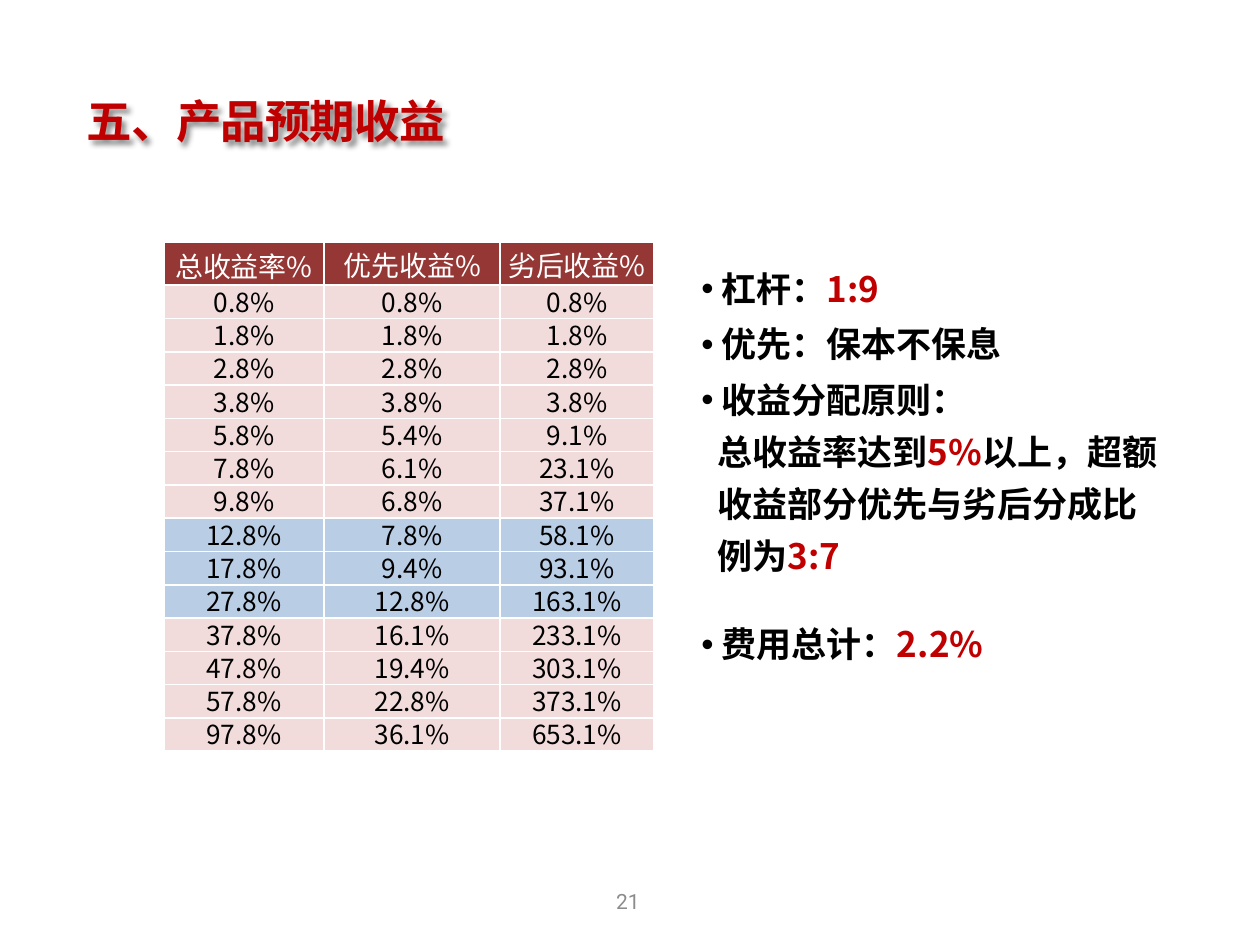
from lxml.etree import SubElement
from pptx import Presentation
from pptx.dml.color import RGBColor
from pptx.enum.text import MSO_ANCHOR, PP_ALIGN
from pptx.oxml import parse_xml
from pptx.oxml.ns import nsdecls, qn
from pptx.util import Pt

COLORS = {
    "black": "000000", "white": "FFFFFF", "red": "C00000", "gray": "8C8C8C",
    "head": "953735", "pink": "F2DCDB", "blue": "B9CDE5",
}
SANS = "Noto Sans CJK SC"

HEADS = ["总收益率%", "优先收益%", "劣后收益%"]
YIELDS = [
    (0.8, 0.8, 0.8), (1.8, 1.8, 1.8), (2.8, 2.8, 2.8), (3.8, 3.8, 3.8),
    (5.8, 5.4, 9.1), (7.8, 6.1, 23.1), (9.8, 6.8, 37.1),
    (12.8, 7.8, 58.1), (17.8, 9.4, 93.1), (27.8, 12.8, 163.1),
    (37.8, 16.1, 233.1), (47.8, 19.4, 303.1), (57.8, 22.8, 373.1),
    (97.8, 36.1, 653.1),
]
MARKED = range(7, 10)

# Each box: top, height, paragraphs; a paragraph is (bullet, runs).
NOTES = [
    (152, 31.7, [(True, [("杠杆：", "black"), ("1:9", "red")])]),
    (183.6, 31.7, [(True, [("优先：保本不保息", "black")])]),
    (215.2, 140.4, [
        (True, [("收益分配原则：", "black")]),
        (False, [("总收益率达到", "black"), ("5%", "red"), ("以上，超额", "black")]),
        (False, [("收益部分优先与劣后分成比", "black")]),
        (False, [("例为", "black"), ("3:7", "red")]),
    ]),
    (355, 31.7, [(True, [("费用总计：", "black"), ("2.2%", "red")])]),
]


def rgb(name):
    return RGBColor.from_string(COLORS[name])


def put(item, **values):
    for key, value in values.items():
        setattr(item, key, value)


class Deck:
    def __init__(self):
        self.show = Presentation()
        put(self.show, slide_width=Pt(720), slide_height=Pt(540))
        self.slide = self.show.slides.add_slide(self.show.slide_layouts[6])

    def run(self, para, text, color, size, bold=False, face=SANS):
        run = para.add_run()
        run.text = text
        put(run.font, name=face, size=Pt(size), bold=bold)
        run.font.color.rgb = rgb(color)
        props = run.font._element
        SubElement(props, qn("a:ea")).set("typeface", face)
        return props

    def box(self, left, top, width, height, **values):
        box = self.slide.shapes.add_textbox(*map(Pt, (left, top, width, height)))
        put(box.text_frame, word_wrap=True, **values)
        return box

    def title(self, text):
        box = self.box(42.5, 49, 249, 39.6, vertical_anchor=MSO_ANCHOR.MIDDLE)
        para = box.text_frame.paragraphs[0]
        self.run(para, text, "red", 26, True).set("spc", "-50")
        box._element.spPr.append(parse_xml(
            f'<a:effectLst {nsdecls("a")}><a:outerShdw blurRad="{Pt(3)}" dist="{Pt(3)}"'
            ' dir="2700000" algn="tl"><a:srgbClr val="000000"><a:alpha val="45000"/>'
            '</a:srgbClr></a:outerShdw></a:effectLst>'))

    def number(self, text):
        box = self.box(275, 500.4, 167.8, 28.8, vertical_anchor=MSO_ANCHOR.MIDDLE)
        para = box.text_frame.paragraphs[0]
        para.alignment = PP_ALIGN.CENTER
        self.run(para, text, "gray", 12, face="Roboto")

    def note(self, top, height, paras):
        frame = self.box(393.8, top, 285, height, margin_right=0).text_frame
        for i, (bullet, runs) in enumerate(paras):
            para = frame.add_paragraph() if i else frame.paragraphs[0]
            props = para._p.get_or_add_pPr()
            props.set("marL", str(Pt(11.5 if bullet else 9)))
            if bullet:
                props.set("indent", str(-Pt(11.5)))
                SubElement(props, qn("a:buFont")).set("typeface", "Arial")
                SubElement(props, qn("a:buChar")).set("char", "•")
            para.line_spacing = 0.9
            if i:
                para.space_before = Pt(8.2)
            for text, color in runs:
                self.run(para, text, color, 20, True)

    def cell(self, cell, text, fill, color, size, space, anchor):
        put(cell, margin_left=Pt(0.75), margin_right=Pt(0.75), margin_top=Pt(0.75),
            margin_bottom=0, vertical_anchor=anchor)
        props = cell._tc.get_or_add_tcPr()
        for side in "LRTB":
            props.append(parse_xml(
                f'<a:ln{side} {nsdecls("a")} w="{Pt(1)}"><a:solidFill>'
                f'<a:srgbClr val="{COLORS["white"]}"/></a:solidFill></a:ln{side}>'))
        cell.fill.solid()
        cell.fill.fore_color.rgb = rgb(fill)
        para = cell.text_frame.paragraphs[0]
        put(para, alignment=PP_ALIGN.CENTER, line_spacing=space)
        self.run(para, text, color, size)

    def table(self, left, top, widths, first, step):
        count = len(YIELDS)
        table = self.slide.shapes.add_table(
            count + 1, len(HEADS), Pt(left), Pt(top),
            Pt(sum(widths)), Pt(first + step * count)).table
        put(table, first_row=False, horz_banding=False)
        for col, width in zip(table.columns, widths):
            col.width = Pt(width)
        for i, row in enumerate(table.rows):
            row.height = Pt(step if i else first)
        for j, text in enumerate(HEADS):
            anchor = MSO_ANCHOR.MIDDLE if j else MSO_ANCHOR.BOTTOM
            self.cell(table.cell(0, j), text, "head", "white", 16, 1.0, anchor)
        for i, row in enumerate(YIELDS):
            fill = "blue" if i in MARKED else "pink"
            for j, value in enumerate(row):
                # Tight line spacing keeps the text within the low rows.
                self.cell(table.cell(i + 1, j), f"{value}%", fill, "black",
                          15, 0.84, MSO_ANCHOR.BOTTOM)


def main():
    deck = Deck()
    deck.number("21")
    deck.title("五、产品预期收益")
    for top, height, paras in NOTES:
        deck.note(top, height, paras)
    deck.table(93.6, 138.5, (91.6, 100.6, 87.8), 24.5, 19.04)
    deck.show.save("out.pptx")


if __name__ == "__main__":
    main()
